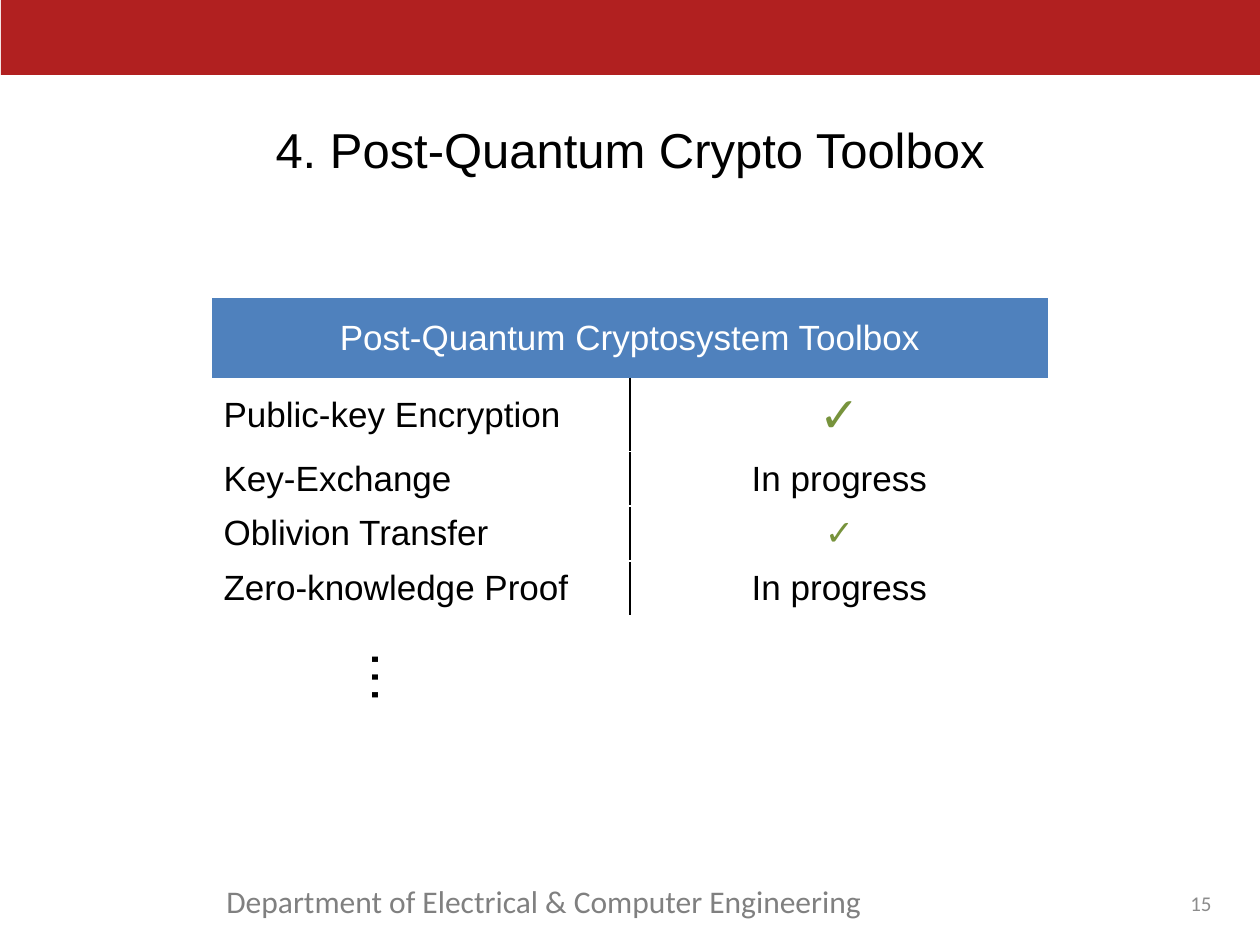
from lxml.etree import SubElement
from pptx import Presentation
from pptx.dml.color import RGBColor
from pptx.enum.shapes import MSO_SHAPE
from pptx.enum.text import MSO_ANCHOR as Anchor, PP_ALIGN as Align
from pptx.oxml.ns import qn
from pptx.util import Emu, Pt

PX = 914400 // 126
BLACK = RGBColor(0x00, 0x00, 0x00)
WHITE = RGBColor(0xFF, 0xFF, 0xFF)
RED = RGBColor(0xB1, 0x20, 0x20)
BLUE = RGBColor(0x4F, 0x81, 0xBD)
GREEN = RGBColor(0x77, 0x93, 0x3C)
GRAY = RGBColor(0x80, 0x80, 0x80)
LIGHT_GRAY = RGBColor(0x8C, 0x8C, 0x8C)

HEADER = "Post-Quantum Cryptosystem Toolbox"
CHECK = "✓"
TOOLS = [
    ("Public-key Encryption", CHECK, 28),
    ("Key-Exchange", "In progress", 20),
    ("Oblivion Transfer", CHECK, 20),
    ("Zero-knowledge Proof", "In progress", 20),
]
ROW_HEIGHTS = [83, 69, 52, 52, 52]
COLUMN_WIDTH = 419


def box(*lengths):
    """Turn pixel lengths into EMU."""
    return [Emu(length * PX) for length in lengths]


def write(text_frame, text, size, color, align=Align.LEFT, font="Arial", bold=False):
    """Set one formatted paragraph of text."""
    text_frame.text = text
    paragraph = text_frame.paragraphs[0]
    paragraph.alignment = align
    run_font = paragraph.runs[0].font
    run_font.name, run_font.size, run_font.bold = font, Pt(size), bold
    run_font.color.rgb = color


def add_text(slide, frame, text, size, color, wrap=True, anchor=Anchor.TOP, **style):
    """Add a text box and return it."""
    shape = slide.shapes.add_textbox(*box(*frame))
    shape.text_frame.word_wrap = wrap
    shape.text_frame.vertical_anchor = anchor
    write(shape.text_frame, text, size, color, **style)
    return shape


def add_banner(slide):
    """Add the red band along the top edge."""
    banner = slide.shapes.add_shape(MSO_SHAPE.RECTANGLE, *box(1, 0, 1260, 75))
    banner.shadow.inherit = False
    banner.fill.solid()
    banner.fill.fore_color.rgb = RED
    banner.line.fill.background()


def set_title(slide, text):
    """Place and format the slide title."""
    title = slide.shapes.title
    title.left, title.top, title.width, title.height = box(63, 102, 1134, 93)
    title.text_frame.vertical_anchor = Anchor.MIDDLE
    write(title.text_frame, text, 28, BLACK, Align.CENTER)


def set_borders(cell, left=WHITE, right=WHITE, bottom_width=1):
    """Draw the four borders of a table cell."""
    borders = [("a:lnL", left, 1), ("a:lnR", right, 1),
               ("a:lnT", WHITE, 1), ("a:lnB", WHITE, bottom_width)]
    properties = cell._tc.get_or_add_tcPr()
    for index, (tag, color, width) in enumerate(borders):
        line = SubElement(properties, qn(tag), w=str(Pt(width)))
        fill = SubElement(line, qn("a:solidFill"))
        SubElement(fill, qn("a:srgbClr"), val=str(color))
        properties.insert(index, line)


def fill_cell(cell, text, size, color, fill=None, align=Align.LEFT, bold=False, **borders):
    """Write, fill and border one table cell."""
    write(cell.text_frame, text, size, color, align, bold=bold)
    cell.vertical_anchor = Anchor.MIDDLE
    if fill is None:
        cell.fill.background()
    else:
        cell.fill.solid()
        cell.fill.fore_color.rgb = fill
    set_borders(cell, **borders)


def add_toolbox_table(slide):
    """Add the table of cryptographic tools and their status."""
    frame = box(211, 297, 2 * COLUMN_WIDTH, sum(ROW_HEIGHTS))
    table = slide.shapes.add_table(len(ROW_HEIGHTS), 2, *frame).table
    table.horz_banding = False
    for column in table.columns:
        column.width = Emu(COLUMN_WIDTH * PX)
    for row, height in zip(table.rows, ROW_HEIGHTS):
        row.height = Emu(height * PX)
    header = table.cell(0, 0)
    header.merge(table.cell(0, 1))
    fill_cell(header, HEADER, 20, WHITE, BLUE, Align.CENTER, bottom_width=3)
    for row, (tool, status, size) in enumerate(TOOLS, start=1):
        done = status == CHECK
        fill_cell(table.cell(row, 0), tool, 20, BLACK, right=BLACK)
        fill_cell(table.cell(row, 1), status, size, GREEN if done else BLACK,
                  align=Align.CENTER, bold=done, left=BLACK)


def main():
    """Build and save the slide."""
    presentation = Presentation()
    presentation.slide_width, presentation.slide_height = box(1260, 945)
    slide = presentation.slides.add_slide(presentation.slide_layouts[5])
    add_banner(slide)
    add_text(slide, (214, 876, 727, 50), "Department of Electrical & Computer Engineering",
             18, GRAY, font="Calibri")
    set_title(slide, "4. Post-Quantum Crypto Toolbox")
    add_text(slide, (1150, 878, 74, 50), "15", 12, LIGHT_GRAY,
             anchor=Anchor.MIDDLE, align=Align.RIGHT, font="Calibri")
    add_toolbox_table(slide)
    ellipsis = add_text(slide, (353, 638, 82, 81), "…", 32, BLACK, wrap=False)
    ellipsis.rotation = 90
    presentation.save("out.pptx")


if __name__ == "__main__":
    main()
